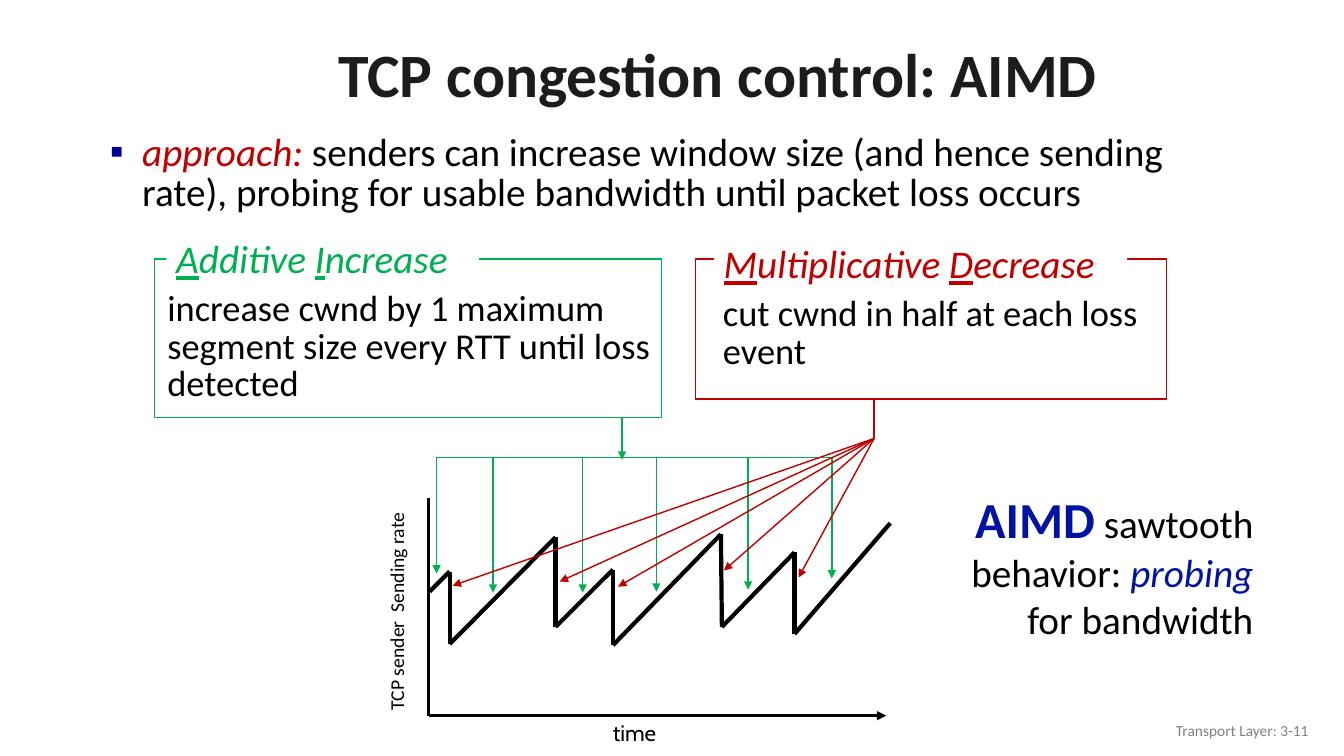
from dataclasses import dataclass

from lxml import etree
from pptx import Presentation
from pptx.dml.color import RGBColor
from pptx.enum.shapes import MSO_CONNECTOR, MSO_SHAPE
from pptx.enum.text import MSO_ANCHOR, MSO_AUTO_SIZE, PP_ALIGN
from pptx.oxml.ns import qn
from pptx.slide import Slide
from pptx.util import Inches, Pt

STRAIGHT, RECTANGLE = MSO_CONNECTOR.STRAIGHT, MSO_SHAPE.RECTANGLE
TOP, MIDDLE = MSO_ANCHOR.TOP, MSO_ANCHOR.MIDDLE
LEFT, CENTER, RIGHT = PP_ALIGN.LEFT, PP_ALIGN.CENTER, PP_ALIGN.RIGHT
NO_AUTOFIT = MSO_AUTO_SIZE.NONE

Point = tuple[float, float]
Area = tuple[float, float, float, float]


@dataclass(frozen=True)
class Theme:
    font: str = "Calibri"
    axis_font: str = "Cabin"
    title: str = "1C1C1C"
    ink: str = "000000"
    paper: str = "FFFFFF"
    bullet: str = "000099"
    blue: str = "0013A3"
    green: str = "00B050"
    red: str = "C00000"
    grey: str = "808080"
    title_size: float = 44
    acronym_size: float = 36
    body_size: float = 28
    rule_size: float = 26
    time_size: float = 16
    rate_size: float = 14
    footer_size: float = 11
    tight: float = 0.85


THEME = Theme()


@dataclass(frozen=True)
class Span:
    text: str
    size: float = THEME.body_size
    color: str = THEME.ink
    bold: bool = False
    italic: bool = False
    underline: bool = False
    font: str = THEME.font


@dataclass(frozen=True)
class RuleCard:
    """A framed rule whose heading interrupts the top border."""
    frame: Area
    body: Area
    heading: Area
    words: tuple[str, str]
    rule: str
    color: str


CARDS = [
    RuleCard((1.53, 2.57, 5.03, 1.57), (1.06, 2.85, 5.53, 1.58), (1.65, 2.35, 3.1, 0.49),
             ("Additive ", "Increase"),
             "increase cwnd by 1 maximum segment size every RTT until loss detected", THEME.green),
    RuleCard((6.9, 2.57, 4.67, 1.39), (6.57, 2.9, 5.19, 0.9), (7.08, 2.4, 4.1, 0.49),
             ("Multiplicative ", "Decrease"),
             "cut cwnd in half at each loss event", THEME.red),
]

SAWTOOTH: list[Point] = [
    (4.26, 5.87), (4.46, 5.67), (4.46, 6.39), (5.51, 5.33), (5.51, 6.22), (6.08, 5.65),
    (6.08, 6.4), (7.15, 5.3), (7.16, 6.22), (7.88, 5.48), (7.88, 6.29), (8.83, 5.19),
]
ORIGIN: Point = (4.25, 7.1)

INCREASE_RAIL = 4.54
INCREASE_TIPS: list[Point] = [
    (4.33, 5.69), (4.89, 5.88), (5.78, 5.88), (6.51, 5.87), (7.42, 5.85), (8.25, 5.74),
]
DECREASE_HUB: Point = (8.67, 4.35)
DECREASE_TIPS: list[Point] = [
    (7.92, 5.73), (4.49, 5.81), (5.55, 5.77), (6.13, 5.82), (7.18, 5.66),
]


def write(frame, lines: list[list[Span]], align=LEFT, spacing: float = 1.0, anchor=TOP) -> None:
    frame.auto_size = NO_AUTOFIT
    frame.vertical_anchor = anchor
    for index, spans in enumerate(lines):
        paragraph = frame.paragraphs[0] if index == 0 else frame.add_paragraph()
        paragraph.alignment = align
        paragraph.line_spacing = spacing
        paragraph.space_before = Pt(0)
        for span in spans:
            run = paragraph.add_run()
            run.text = span.text
            font = run.font
            font.name, font.size = span.font, Pt(span.size)
            font.bold, font.italic, font.underline = span.bold, span.italic, span.underline
            font.color.rgb = RGBColor.from_string(span.color)


def place(shape, area: Area) -> None:
    shape.left, shape.top, shape.width, shape.height = map(Inches, area)


def add_text(slide: Slide, area: Area, lines: list[list[Span]], align=LEFT,
             spacing: float = 1.0, anchor=TOP, wrap: bool = True):
    box = slide.shapes.add_textbox(*map(Inches, area))
    box.text_frame.word_wrap = wrap
    write(box.text_frame, lines, align, spacing, anchor)
    return box


def fill_solid(shape, color: str) -> None:
    shape.fill.solid()
    shape.fill.fore_color.rgb = RGBColor.from_string(color)


def add_line(slide: Slide, start: Point, end: Point, color: str, width: float = 1,
             arrow: bool = False) -> None:
    line = slide.shapes.add_connector(STRAIGHT, *map(Inches, (*start, *end)))
    line.line.color.rgb = RGBColor.from_string(color)
    line.line.width = Pt(width)
    if arrow:
        etree.SubElement(line.line._get_or_add_ln(), qn("a:tailEnd"), type="triangle")
    etree.SubElement(line._element.spPr, qn("a:effectLst"))


def add_bullet(paragraph, symbol: str, color: str, indent: float) -> None:
    properties = paragraph._p.get_or_add_pPr()
    properties.set("marL", str(Inches(indent)))
    properties.set("indent", str(-Inches(indent)))
    bullet_color = etree.SubElement(properties, qn("a:buClr"))
    etree.SubElement(bullet_color, qn("a:srgbClr"), val=color)
    etree.SubElement(properties, qn("a:buFont"), typeface="Arial")
    etree.SubElement(properties, qn("a:buChar"), char=symbol)


def add_title_and_approach(slide: Slide) -> None:
    title, approach = slide.placeholders
    place(title, (0.89, 0.28, 12.46, 0.98))
    write(title.text_frame,
          [[Span("TCP congestion control: AIMD", THEME.title_size, THEME.title, bold=True)]],
          CENTER, 0.9, MIDDLE)
    place(approach, (0.99, 1.28, 11.24, 1.58))
    add_bullet(approach.text_frame.paragraphs[0], "▪", THEME.bullet, 0.32)
    write(approach.text_frame, [[
        Span("approach: ", color=THEME.red, italic=True),
        Span("senders can increase window size (and hence sending rate), "
             "probing for usable bandwidth until packet loss occurs"),
    ]], spacing=THEME.tight)


def add_card(slide: Slide, card: RuleCard) -> None:
    frame = slide.shapes.add_shape(RECTANGLE, *map(Inches, card.frame))
    frame.shadow.inherit = False
    fill_solid(frame, THEME.paper)
    frame.line.color.rgb = RGBColor.from_string(card.color)
    frame.line.width = Pt(1)
    body = add_text(slide, card.body, [[Span(card.rule, THEME.rule_size)]], spacing=THEME.tight)
    body.text_frame.margin_left = Inches(0.6)
    spans = [Span(part, color=card.color, italic=True, underline=initial)
             for word in card.words
             for part, initial in ((word[0], True), (word[1:], False))]
    heading = add_text(slide, card.heading, [spans], spacing=THEME.tight)
    fill_solid(heading, THEME.paper)


def add_chart_drawing(slide: Slide) -> None:
    """Sending rate over time, with its axes and labels."""
    for start, end in zip(SAWTOOTH, SAWTOOTH[1:]):
        add_line(slide, start, end, THEME.ink, 3)
    rate = add_text(slide, (2.69, 5.73, 2.49, 0.34),
                    [[Span("TCP sender  Sending rate", THEME.rate_size)]])
    rate.rotation = 270
    fill_solid(rate, THEME.paper)
    add_line(slide, ORIGIN, (8.79, ORIGIN[1]), THEME.ink, 2.25, arrow=True)
    add_line(slide, (ORIGIN[0], 4.94), ORIGIN, THEME.ink, 2.25)
    add_text(slide, (5.98, 7.09, 0.63, 0.37),
             [[Span("time", THEME.time_size, font=THEME.axis_font)]], wrap=False)


def add_pointers(slide: Slide) -> None:
    """Arrows from each rule to the parts of the sawtooth it explains."""
    for tip in INCREASE_TIPS:
        add_line(slide, (tip[0], INCREASE_RAIL), tip, THEME.green, arrow=True)
    add_line(slide, (4.32, INCREASE_RAIL), (8.26, INCREASE_RAIL), THEME.green)
    add_line(slide, (6.17, 4.14), (6.17, 4.56), THEME.green, arrow=True)
    for tip in DECREASE_TIPS:
        add_line(slide, DECREASE_HUB, tip, THEME.red, arrow=True)
    add_line(slide, DECREASE_HUB, (DECREASE_HUB[0], 3.96), THEME.red)


def main() -> None:
    deck = Presentation()
    deck.slide_width, deck.slide_height = Inches(13.33), Inches(7.5)
    slide = deck.slides.add_slide(deck.slide_layouts[1])
    add_title_and_approach(slide)
    add_text(slide, (9.5, 4.79, 3.03, 1.65), [
        [Span("AIMD", THEME.acronym_size, THEME.blue, bold=True), Span(" sawtooth")],
        [Span("behavior: "), Span("probing", color=THEME.blue, italic=True)],
        [Span("for bandwidth")],
    ], RIGHT, wrap=False)
    add_chart_drawing(slide)
    for card in CARDS:
        add_card(slide, card)
    add_pointers(slide)
    add_text(slide, (10.08, 7.05, 3, 0.4),
             [[Span("Transport Layer: 3-11", THEME.footer_size, THEME.grey)]], RIGHT, anchor=MIDDLE)
    deck.save("out.pptx")


if __name__ == "__main__":
    main()
